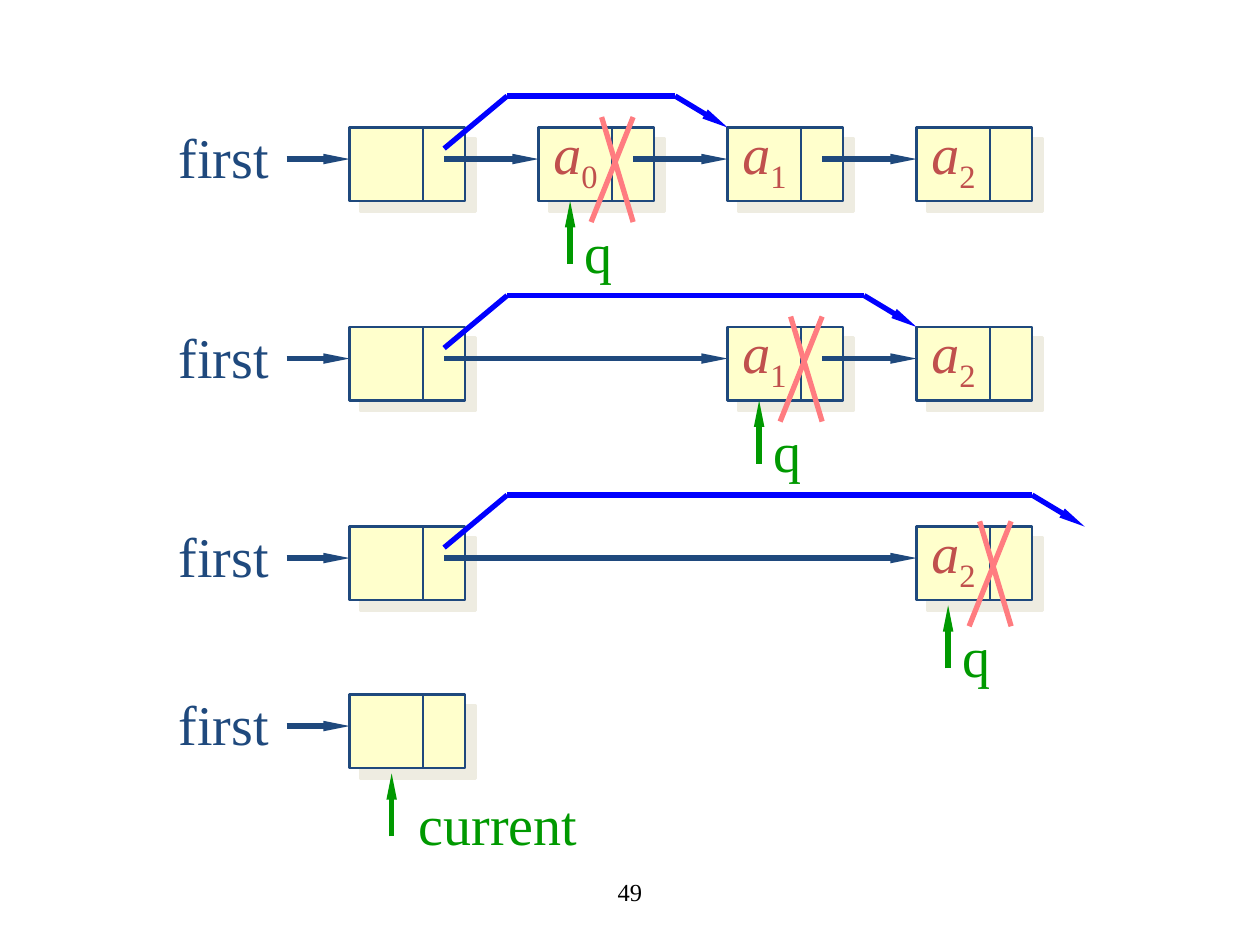
from dataclasses import dataclass

from lxml.etree import SubElement
from pptx import Presentation
from pptx.dml.color import RGBColor
from pptx.enum.shapes import MSO_CONNECTOR, MSO_SHAPE
from pptx.enum.text import MSO_ANCHOR, PP_ALIGN
from pptx.oxml.ns import qn
from pptx.util import Inches, Pt


@dataclass(frozen=True)
class Theme:
    font: str = "Times New Roman"
    label: int = 32
    footer: int = 14
    thick: float = 3
    thin: float = 1.5
    ink: str = "1F497D"
    node: str = "FFFFCC"
    shadow: str = "EEECE1"
    item: str = "C0504D"
    bypass: str = "0000FF"
    pointer: str = "009900"
    cross: str = "FF7C80"
    black: str = "000000"


T = Theme()
GRID = Inches(1) / 12
LEFT, TOP = 33.3, 12.15      # grid position of the first list's head node
PITCH = 18                   # grid columns from one node to the next
NODE_W, NODE_H, DIVIDER, LINK_Y = 11, 7, 7, 3

prs = Presentation()
prs.slide_width, prs.slide_height = Inches(10), Inches(7.5)
slide = prs.slides.add_slide(prs.slide_layouts[6])


def add_line(x1, y1, x2, y2, color, width=T.thick, arrow=False):
    """Draw a line between grid points measured from the first head node."""
    ends = [round(v * GRID) for v in (LEFT + x1, TOP + y1, LEFT + x2, TOP + y2)]
    cxn = slide.shapes.add_connector(MSO_CONNECTOR.STRAIGHT, *ends)
    cxn.line.color.rgb = RGBColor.from_string(color)
    cxn.line.width = Pt(width)
    if arrow:
        SubElement(cxn.line._get_or_add_ln(), qn("a:tailEnd"),
                   type="triangle", w="sm", len="lg")
    SubElement(cxn._element.spPr, qn("a:effectLst"))


def add_text(x, y, w, h, text, color, size=T.label, subscript=""):
    """Centre text in a grid box; with a subscript, the text is italic."""
    box = [round(v * GRID) for v in (LEFT + x, TOP + y, w, h)]
    tf = slide.shapes.add_textbox(*box).text_frame
    tf.word_wrap = False
    tf.vertical_anchor = MSO_ANCHOR.MIDDLE
    p = tf.paragraphs[0]
    p.alignment = PP_ALIGN.CENTER
    for part in filter(None, (text, subscript)):
        r = p.add_run()
        r.text = part
        r.font.name, r.font.size = T.font, Pt(size)
        r.font.color.rgb = RGBColor.from_string(color)
        r.font.italic = bool(subscript) and part == text
    if subscript:
        r.font._element.set("baseline", "-25000")


# row, columns of the nodes, end of the bypass, drop of the pointer
lists = [
    (0, (0, 1, 2, 3), 2 * PITCH, 0),
    (19, (0, 2, 3), 3 * PITCH, 0),
    (38, (0, 3), 70, 0.5),
    (54, (0,), None, 0.5),
]

for y, cols, bypass_end, drop in lists:
    link_y = y + LINK_Y
    add_text(-PITCH, y - 1, 12, 7.5, "first", T.ink)
    add_line(-6, link_y, 0, link_y, T.ink, arrow=True)

    for col in cols:
        x = col * PITCH
        box = [round(v * GRID) for v in (LEFT + x, TOP + y, NODE_W, NODE_H)]
        sp = slide.shapes.add_shape(MSO_SHAPE.RECTANGLE, *box)
        sp.fill.solid()
        sp.fill.fore_color.rgb = RGBColor.from_string(T.node)
        sp.line.color.rgb = RGBColor.from_string(T.ink)
        sp.line.width = Pt(T.thin)
        sp.shadow.inherit = False
        shadow = SubElement(sp._element.spPr.find(qn("a:effectLst")), qn("a:outerShdw"),
                            blurRad="0", dist=str(Pt(8.5)), dir="2700000",
                            algn="ctr", rotWithShape="0")
        SubElement(shadow, qn("a:srgbClr"), val=T.shadow)
        add_line(x + DIVIDER, y, x + DIVIDER, y + NODE_H, T.ink, T.thin)
        if col:
            add_text(x, y - 1, 7, 7.5, "a", T.item, subscript=str(col - 1))

    for col, following in zip(cols, cols[1:]):
        add_line(col * PITCH + 9, link_y, following * PITCH, link_y, T.ink, arrow=True)

    pointer_y = y + drop
    if bypass_end is None:
        add_line(4, pointer_y + 13, 4, pointer_y + 7, T.pointer, arrow=True)
        add_text(4.4, pointer_y + 8, 19.5, 7.5, "current", T.pointer)
        continue

    bend = bypass_end - 5
    add_line(9, y + 2, 15, y - 3, T.bypass)
    add_line(15, y - 3, bend, y - 3, T.bypass)
    add_line(bend, y - 3, bypass_end, y, T.bypass, arrow=True)

    x = cols[1] * PITCH
    add_line(x + 3, pointer_y + 13, x + 3, pointer_y + 7, T.pointer, arrow=True)
    add_text(x + 3, pointer_y + 8, 5.4, 7.5, "q", T.pointer)
    for start, end in ((9, 5), (6, 9)):
        add_line(x + start, pointer_y - 1, x + end, pointer_y + 9, T.cross)

add_text(7.7, 69.8, 38, 6, "49", T.black, T.footer)

prs.save("out.pptx")
